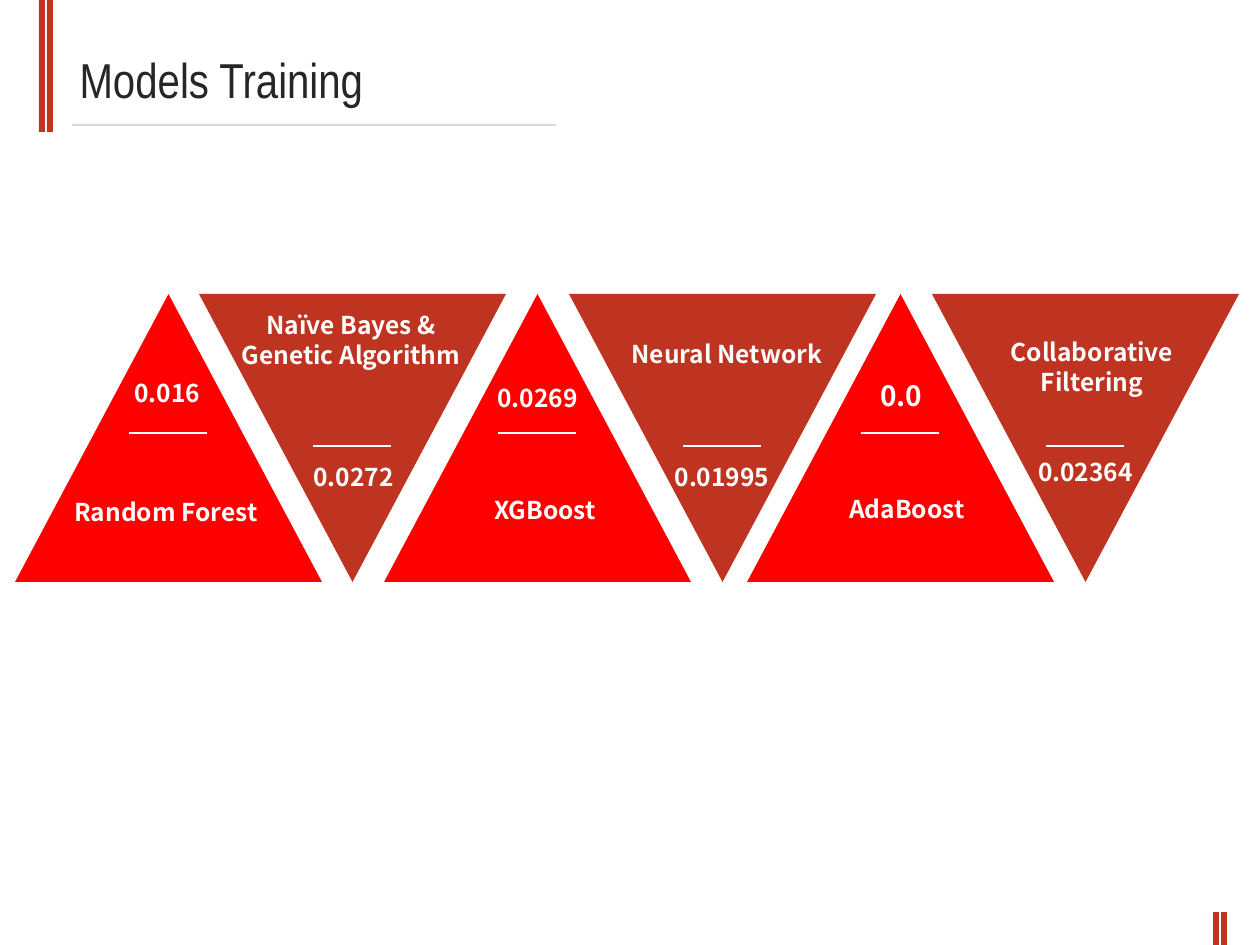
import pptx
import pptx.dml.color
import pptx.enum.shapes
import pptx.enum.text
import pptx.oxml.ns
import pptx.util
from lxml import etree

SCALE = 914400 / 126  # EMU in one px
BRICK, RED, WHITE = "BF3420", "FF0000", "FFFFFF"
SHAPE = pptx.enum.shapes.MSO_SHAPE
ALIGN = pptx.enum.text.PP_ALIGN

TITLE_FONT = {"name": "Arial Narrow", "size": pptx.util.Pt(28), "bold": False}
LABEL_FONT = {"name": "Noto Sans CJK SC", "size": pptx.util.Pt(14), "bold": True}

TRI_TOP, TRI_W, TRI_H = 294, 307, 288
RULE_HALF = 39
NAME_W = 292

# Left of triangle; name, its left and top; value, its left, top, width and points
MODELS = [
    (15, ("Random Forest", 20, 491), ("0.016", 110, 372, 115, 14)),
    (199, ("Naïve Bayes &\nGenetic Algorithm", 205, 304), ("0.0272", 296, 456, 115, 14)),
    (384, ("XGBoost", 399, 489), ("0.0269", 480, 377, 115, 14)),
    (569, ("Neural Network", 581, 333), ("0.01995", 655, 456, 134, 14)),
    (747, ("AdaBoost", 761, 488), ("0.0", 844, 372, 115, 16)),
    (932, ("Collaborative\nFiltering", 946, 331), ("0.02364", 1005, 451, 161, 14)),
]


def px(*lengths):
    return [pptx.util.Emu(round(n * SCALE)) for n in lengths]


def rgb(color):
    return pptx.dml.color.RGBColor.from_string(color)


def write(tf, text, font, color, align):
    """Fill a text frame, one paragraph for each line of text."""
    tf.text = text
    for p in tf.paragraphs:
        p.alignment = align
        for r in p.runs:
            for key, value in font.items():
                setattr(r.font, key, value)
            r.font.color.rgb = rgb(color)


def add_block(s, kind, box, color, rotation=0):
    sp = s.shapes.add_shape(kind, *px(*box))
    sp.shadow.inherit = False
    sp.fill.solid()
    sp.fill.fore_color.rgb = rgb(color)
    sp.line.fill.background()
    sp.rotation = rotation


def add_rule(s, left, right, y, color):
    line = s.shapes.add_connector(
        pptx.enum.shapes.MSO_CONNECTOR.STRAIGHT, *px(left, y, right, y))
    line.line.color.rgb = rgb(color)
    line.line.width = pptx.util.Pt(0.75)
    sp_pr = line._element.spPr
    etree.SubElement(sp_pr, pptx.oxml.ns.qn("a:effectLst"))


def add_label(s, text, left, top, width, points=14):
    height = 43 + 29 * text.count("\n")
    tf = s.shapes.add_textbox(*px(left, top, width, height)).text_frame
    tf.word_wrap = True
    write(tf, text, LABEL_FONT | {"size": pptx.util.Pt(points)}, WHITE, ALIGN.CENTER)


def set_title(s, text, box):
    sp = s.shapes.title
    sp.left, sp.top, sp.width, sp.height = px(*box)
    tf = sp.text_frame
    options = {"word_wrap": True,
               "auto_size": pptx.enum.text.MSO_AUTO_SIZE.NONE,
               "vertical_anchor": pptx.enum.text.MSO_ANCHOR.TOP}
    for key, value in options.items():
        setattr(tf, key, value)
    write(tf, text, TITLE_FONT, "262626", ALIGN.LEFT)


def add_model(s, index, left, name, value):
    """Triangles point up and down in turn."""
    down = index % 2 == 1
    add_block(s, SHAPE.ISOSCELES_TRIANGLE, (left, TRI_TOP, TRI_W, TRI_H),
              BRICK if down else RED, 180 if down else 0)
    center = left + TRI_W / 2
    add_rule(s, center - RULE_HALF, center + RULE_HALF, 446 if down else 433, WHITE)
    add_label(s, *name, NAME_W)
    add_label(s, *value)


def main():
    prs = pptx.Presentation()
    prs.slide_width, prs.slide_height = px(1260, 945)
    s = prs.slides.add_slide(prs.slide_layouts[5])

    # Twin bars at the top left and bottom right
    for left, top, height in ((39, 0, 132), (1213, 912, 33)):
        for offset in (0, 8):
            add_block(s, SHAPE.RECTANGLE, (left + offset, top, 6, height), BRICK)

    # Title and its rule
    add_rule(s, 72, 556, 125, "D9D9D9")
    set_title(s, "Models Training", (67, 43, 533, 72))

    # Row of models
    for index, model in enumerate(MODELS):
        add_model(s, index, *model)

    prs.save("out.pptx")


if __name__ == "__main__":
    main()
